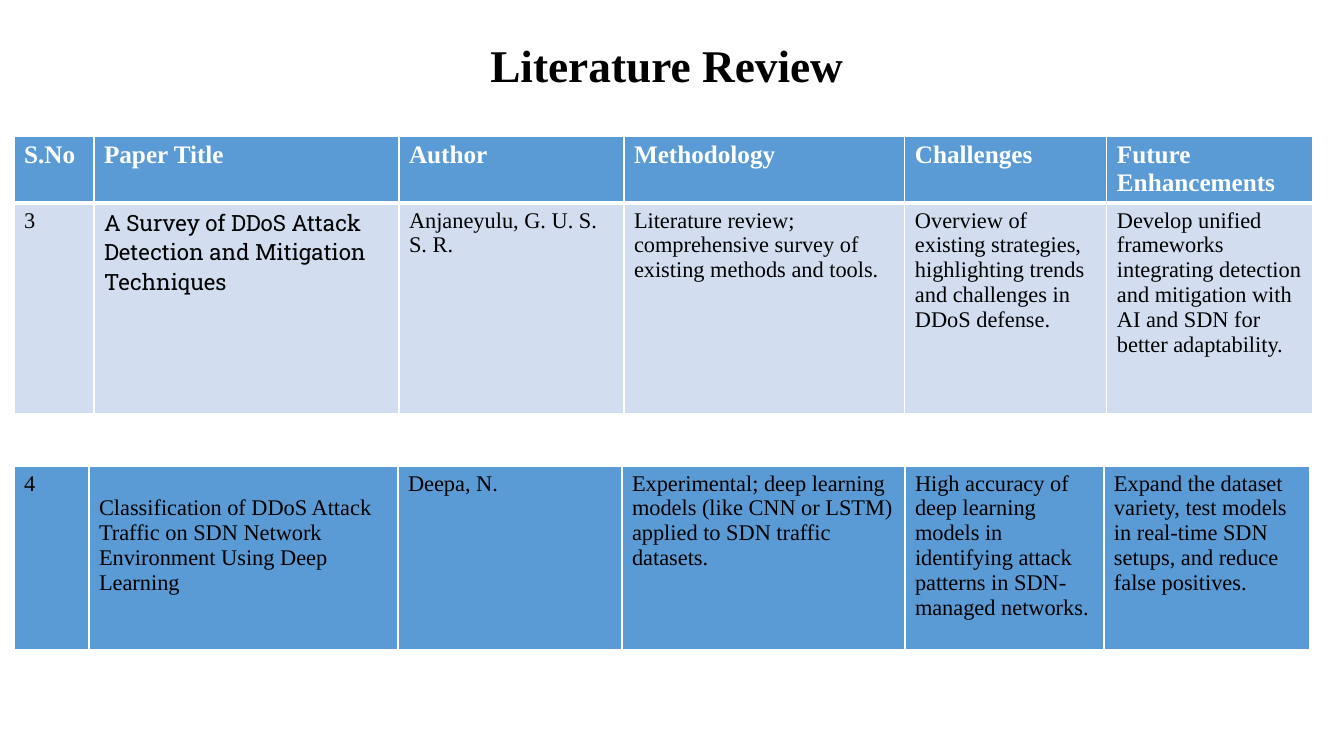
from dataclasses import dataclass

from lxml import etree
from pptx import Presentation
from pptx import util as u
from pptx.dml.color import RGBColor
from pptx.enum import text
from pptx.oxml import ns

PX = 914400 / 100.8


@dataclass(frozen=True)
class Theme:
    black: str = "000000"
    white: str = "FFFFFF"
    blue: str = "5B9BD5"
    pale: str = "D2DEEF"
    font: str = "Times New Roman"
    slab: str = "Roboto Slab"
    title: float = 32.4
    head: int = 18
    body: int = 16


T = Theme()

HEADINGS = ["S.No", "Paper Title", "Author", "Methodology", "Challenges", "Future Enhancements"]
SURVEY = [
    "3",
    "A Survey of DDoS Attack Detection and Mitigation Techniques",
    "Anjaneyulu, G. U. S. S. R.",
    "Literature review; comprehensive survey of existing methods and tools.",
    "Overview of existing strategies, highlighting trends and challenges in DDoS defense.",
    "Develop unified frameworks integrating detection and mitigation with AI and SDN "
    "for better adaptability.",
]
CLASSIFICATION = [
    "4",
    "Classification of DDoS Attack Traffic on SDN Network Environment Using Deep Learning",
    "Deepa, N.",
    "Experimental; deep learning models (like CNN or LSTM) applied to SDN traffic datasets.",
    "High accuracy of deep learning models in identifying attack patterns in SDN-managed networks.",
    "Expand the dataset variety, test models in real-time SDN setups, and reduce false positives.",
]


def px(n):
    return u.Emu(round(n * PX))


def style(p, size, color, bold=False):
    p.font.name, p.font.size, p.font.bold = T.font, u.Pt(size), bold
    p.font.color.rgb = RGBColor.from_string(color)


def set_borders(cell, **widths):
    """Draw white borders; widths are points by side (L, R, T, B)."""
    tc_pr = cell._tc.get_or_add_tcPr()
    for side, width in widths.items():
        ln = etree.SubElement(tc_pr, ns.qn(f"a:ln{side}"), w=str(u.Pt(width)))
        fill = etree.SubElement(ln, ns.qn("a:solidFill"))
        etree.SubElement(fill, ns.qn("a:srgbClr"), val=T.white)


def add_title(slide, box, words):
    sp = slide.shapes.title
    sp.left, sp.top, sp.width, sp.height = map(px, box)
    tf = sp.text_frame
    tf.text = words
    tf.auto_size = text.MSO_AUTO_SIZE.NONE
    tf.vertical_anchor = text.MSO_ANCHOR.MIDDLE
    p = tf.paragraphs[0]
    p.alignment, p.line_spacing = text.PP_ALIGN.CENTER, 0.9
    style(p, T.title, T.black, bold=True)


def add_review_table(slide, left, top, widths, rows, has_header):
    """Add a table from (height, fill, words) rows and return it."""
    height = sum(row[0] for row in rows)
    table = slide.shapes.add_table(
        len(rows), len(widths), px(left), px(top), px(sum(widths)), px(height)).table
    table.first_row, table.horz_banding = has_header, False
    for column, width in zip(table.columns, widths):
        column.width = px(width)
    for i, (row_height, fill, words) in enumerate(rows):
        header = has_header and i == 0
        table.rows[i].height = px(row_height)
        for cell, word in zip(table.rows[i].cells, words):
            cell.text = word
            set_borders(cell, L=1, R=1, T=3 if i else 1, B=3 if header else 1)
            cell.fill.solid()
            cell.fill.fore_color.rgb = RGBColor.from_string(fill)
            style(cell.text_frame.paragraphs[0], T.head if header else T.body,
                  T.white if header else T.black, bold=header)
    return table


def build_review_slide(prs):
    slide = prs.slides.add_slide(prs.slide_layouts[5])
    add_title(slide, (93, 43, 1159, 49), "Literature Review ")

    survey = add_review_table(
        slide, 14, 136, [80, 305, 225, 281, 202, 206],
        [(67, T.blue, HEADINGS), (211, T.pale, SURVEY)], has_header=True)
    survey.cell(1, 1).text_frame.paragraphs[0].font.name = T.slab

    classification = add_review_table(
        slide, 14, 466, [75, 309, 224, 283, 199, 206],
        [(184, T.blue, CLASSIFICATION)], has_header=False)
    paper = classification.cell(0, 1)
    paper.vertical_anchor = text.MSO_ANCHOR.MIDDLE
    paper.margin_bottom = px(30)


def main():
    prs = Presentation()
    prs.slide_width, prs.slide_height = px(1344), px(756)
    build_review_slide(prs)
    prs.save("out.pptx")


if __name__ == "__main__":
    main()
